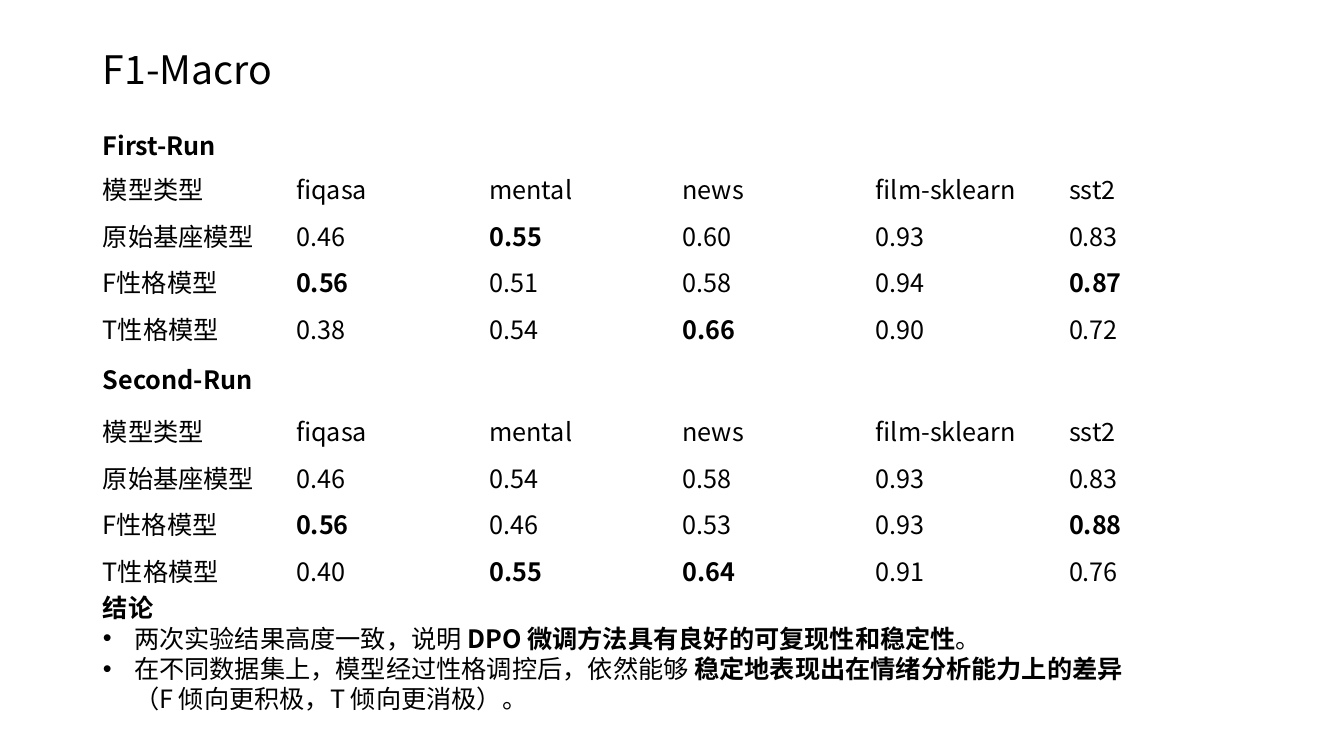
from dataclasses import dataclass

from lxml import etree
from pptx import Presentation
from pptx.dml.color import RGBColor
from pptx.enum.text import MSO_ANCHOR, MSO_AUTO_SIZE, PP_ALIGN
from pptx.oxml.ns import qn
from pptx.util import Inches, Pt

LEFT = PP_ALIGN.LEFT
MIDDLE, TOP = MSO_ANCHOR.MIDDLE, MSO_ANCHOR.TOP
NO_FIT = MSO_AUTO_SIZE.NONE


@dataclass
class Theme:
    font: str = "Noto Sans CJK SC"
    ink: RGBColor = RGBColor(0, 0, 0)
    head: int = 28
    text: int = 18


class Deck:
    def __init__(self, theme):
        self.theme = theme
        self.prs = Presentation()
        self.prs.slide_width, self.prs.slide_height = Inches(13.33), Inches(7.5)
        self.slide = self.prs.slides.add_slide(self.prs.slide_layouts[1])

    def style(self, para, size, bold=False, space=1.0):
        font = para.font
        font.name, font.size, font.bold = self.theme.font, Pt(size), bold
        font.color.rgb = self.theme.ink
        para.alignment = LEFT
        para.space_before = Pt(0)
        para.line_spacing = space
        # East Asian glyphs use the same face
        base = para._p.get_or_add_pPr().find(qn("a:defRPr"))
        face = etree.Element(qn("a:ea"), typeface=self.theme.font)
        base.find(qn("a:latin")).addnext(face)

    def place(self, shape, box, anchor):
        shape.left, shape.top, shape.width, shape.height = map(Inches, box)
        frame = shape.text_frame
        frame.word_wrap, frame.auto_size = True, NO_FIT
        frame.vertical_anchor = anchor
        return frame

    def title(self, text, box):
        frame = self.place(self.slide.shapes.title, box, MIDDLE)
        frame.text = text
        self.style(frame.paragraphs[0], self.theme.head, space=0.9)

    def label(self, text, box):
        shape = self.slide.shapes.add_textbox(*map(Inches, box))
        frame = self.place(shape, box, TOP)
        frame.text = text
        self.style(frame.paragraphs[0], self.theme.text, True)

    def table(self, rows, left, top, width, pitch):
        size = len(rows), len(rows[0])
        frame = self.slide.shapes.add_table(
            *size, Inches(left), Inches(top), Inches(width), Inches(pitch * len(rows)))
        grid = frame.table
        grid.first_row = grid.horz_banding = False
        for r, row in enumerate(rows):
            for c, text in enumerate(row):
                cell = grid.cell(r, c)
                cell.fill.background()
                cell.vertical_anchor = MIDDLE
                cell.text = text.strip("*")
                self.style(cell.text_frame.paragraphs[0], self.theme.text,
                           text.startswith("*"))

    def bullet(self, para, mark, indent):
        props = para._p.get_or_add_pPr()
        props.set("marL", str(Inches(indent)))
        props.set("indent", str(-Inches(indent)))
        base = props.find(qn("a:defRPr"))
        if mark:
            base.addprevious(etree.Element(qn("a:buFont"), typeface="Arial"))
            base.addprevious(etree.Element(qn("a:buChar"), char=mark))
        else:
            base.addprevious(etree.Element(qn("a:buNone")))

    def body(self, head, items, box):
        frame = self.place(self.slide.placeholders[1], box, TOP)
        first = frame.paragraphs[0]
        first.text = head
        self.style(first, self.theme.text, True)
        self.bullet(first, None, 0)
        for item in items:
            para = frame.add_paragraph()
            # Every second part between asterisks is bold
            for i, part in enumerate(item.split("*")):
                run = para.add_run()
                run.text = part
                run.font.bold = i % 2 == 1
            self.style(para, self.theme.text)
            self.bullet(para, "•", 0.31)


HEADS = ["模型类型", "fiqasa", "mental", "news", "film-sklearn", "sst2"]
MODELS = ["原始基座模型", "F性格模型", "T性格模型"]
# Name, label top, table top, scores (asterisk marks the best)
RUNS = [
    ("First-Run", 1.24, 1.64, ["0.46 *0.55 0.60 0.93 0.83",
                               "*0.56 0.51 0.58 0.94 *0.87",
                               "0.38 0.54 *0.66 0.90 0.72"]),
    ("Second-Run", 3.57, 4.04, ["0.46 0.54 0.58 0.93 0.83",
                                "*0.56 0.46 0.53 0.93 *0.88",
                                "0.40 *0.55 *0.64 0.91 0.76"]),
]
NOTES = [
    "两次实验结果高度一致，说明 *DPO 微调方法具有良好的可复现性和稳定性*。",
    "在不同数据集上，模型经过性格调控后，依然能够 "
    "*稳定地表现出在情绪分析能力上的差异*（F 倾向更积极，T 倾向更消极）。",
]
EDGE = 0.92


def main():
    deck = Deck(Theme())
    # Title
    deck.title("F1-Macro", (EDGE, 0.4, 11.08, 0.63))
    # Score tables
    for name, high, top, scores in RUNS:
        rows = [HEADS] + [[m, *s.split()] for m, s in zip(MODELS, scores)]
        deck.table(rows, EDGE, top, 11.5, 0.46)
        deck.label(name, (EDGE, high, 2.21, 0.4))
    # Conclusion
    deck.body("结论", NOTES, (EDGE, 5.83, 10.41, 1.31))
    deck.prs.save("out.pptx")


if __name__ == "__main__":
    main()
